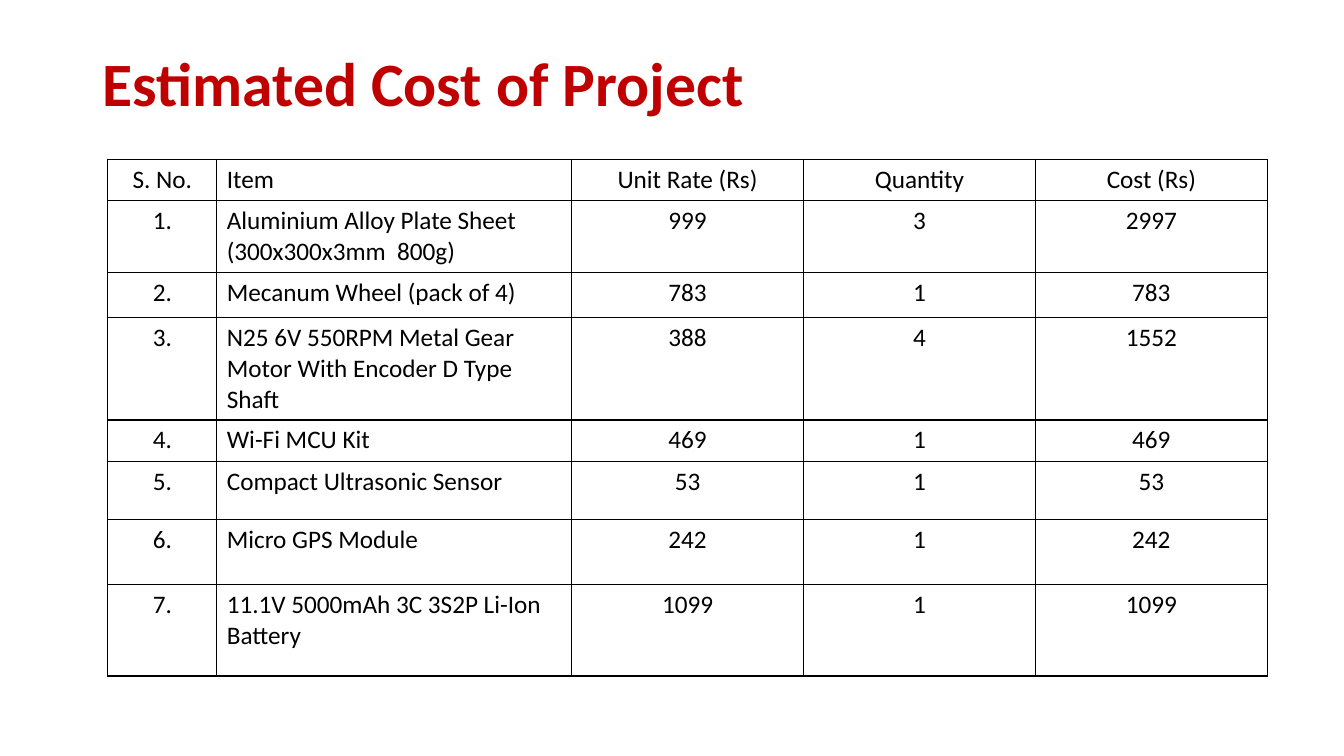
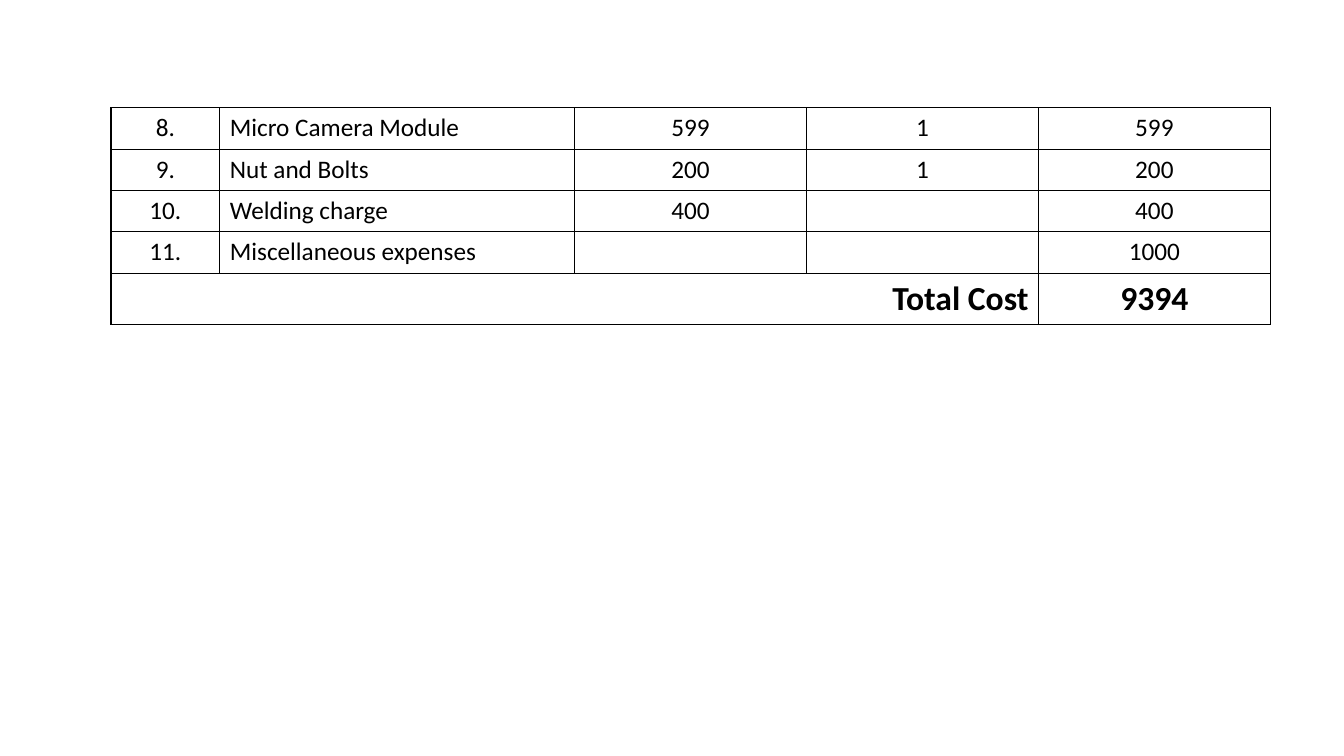
from dataclasses import dataclass

from lxml.etree import SubElement
from pptx import Presentation
from pptx.dml.color import RGBColor
from pptx.enum.text import MSO_ANCHOR, PP_ALIGN as Align
from pptx.oxml.ns import qn
from pptx.util import Inches, Pt


@dataclass(frozen=True)
class Theme:
    font: str = "Calibri"
    title: str = "C00000"
    ink: str = "000000"
    head: int = 44
    total: int = 24
    body: int = 18
    rule: int = 1


THEME = Theme()

TITLE = "Estimated Cost of Project"
HEADS = ("S. No.", "Item", "Unit Rate (Rs)", "Quantity", "Cost (Rs)")
PARTS = [
    ("1.", "Aluminium Alloy Plate Sheet\n(300x300x3mm  800g)", "999", "3", "2997"),
    ("2.", "Mecanum Wheel (pack of 4)", "783", "1", "783"),
    ("3.", "N25 6V 550RPM Metal Gear Motor With Encoder D Type Shaft",
     "388", "4", "1552"),
    ("4.", "Wi-Fi MCU Kit", "469", "1", "469"),
    ("5.", "Compact Ultrasonic Sensor", "53", "1", "53"),
    ("6.", "Micro GPS Module", "242", "1", "242"),
    ("7.", "11.1V 5000mAh 3C 3S2P Li-Ion Battery", "1099", "1", "1099"),
]
EXTRAS = [
    ("8.", "Micro Camera Module", "599", "1", "599"),
    ("9.", "Nut and Bolts", "200", "1", "200"),
    ("10.", "Welding charge", "400", "", "400"),
]
MISC = [("11.", "Miscellaneous expenses", "", "", "1000")]
TOTAL = [("Total Cost", "9394")]

ROW = 0.41
COLS = (1.08, 3.52, 2.3, 2.3, 2.3)
TALL = (ROW, 0.71, 0.45, 1.01, ROW, 0.58, 0.64, 0.91)
ITEM = (Align.CENTER, Align.LEFT) + (Align.CENTER,) * 3


def write(para, text, size, color, bold=False):
    run = para.add_run()
    run.text = text
    font = run.font
    font.name, font.size, font.bold = THEME.font, Pt(size), bold
    font.color.rgb = RGBColor.from_string(color)


def frame(cell):
    """Clear the cell's fill and rule all four sides."""
    cell.fill.background()
    props = cell._tc.get_or_add_tcPr()
    for spot, side in enumerate(("a:lnL", "a:lnR", "a:lnT", "a:lnB")):
        line = props.makeelement(qn(side), {"w": str(Pt(THEME.rule))})
        props.insert(spot, line)
        fill = SubElement(line, qn("a:solidFill"))
        SubElement(fill, qn("a:srgbClr"), val=THEME.ink)


def add_grid(slide, left, top, rows, cols, tall, aligns,
             size=THEME.body, bold=False):
    """Draw a ruled table and return its bottom edge in inches."""
    table = slide.shapes.add_table(
        len(rows), len(cols), Inches(left), Inches(top),
        Inches(sum(cols)), Inches(sum(tall))).table
    table.first_row = table.horz_banding = False
    for col, width in zip(table.columns, cols):
        col.width = Inches(width)
    for row, high, texts in zip(table.rows, tall, rows):
        row.height = Inches(high)
        for cell, text, align in zip(row.cells, texts, aligns):
            frame(cell)
            for num, part in enumerate(text.split("\n")):
                body = cell.text_frame
                para = body.add_paragraph() if num else body.paragraphs[0]
                para.alignment = align
                if part:
                    write(para, part, size, THEME.ink, bold)
    return top + sum(tall)


def add_title(slide, text):
    title = slide.shapes.title
    title.left, title.top = Inches(0.92), Inches(0.13)
    title.width, title.height = Inches(11.5), Inches(1.45)
    body = title.text_frame
    body.word_wrap = True
    body.vertical_anchor = MSO_ANCHOR.MIDDLE
    para = body.paragraphs[0]
    para.alignment, para.line_spacing = Align.LEFT, 0.9
    write(para, text, THEME.head, THEME.title, True)


def main():
    deck = Presentation()
    deck.slide_width, deck.slide_height = Inches(13.33), Inches(7.5)
    only, blank = deck.slide_layouts[5], deck.slide_layouts[6]

    cost = deck.slides.add_slide(only)
    add_title(cost, TITLE)
    add_grid(cost, 1.07, 1.58, [HEADS] + PARTS, COLS, TALL, ITEM)

    rest = deck.slides.add_slide(blank)
    left, top = 1.1, 1.07
    for rows in (EXTRAS, MISC):
        top = add_grid(rest, left, top, rows, COLS, [ROW] * len(rows), ITEM)
    add_grid(rest, left, top, TOTAL, (sum(COLS[:-1]), COLS[-1]), [0.5],
             (Align.RIGHT, Align.CENTER), THEME.total, True)

    deck.save("out.pptx")


if __name__ == "__main__":
    main()
